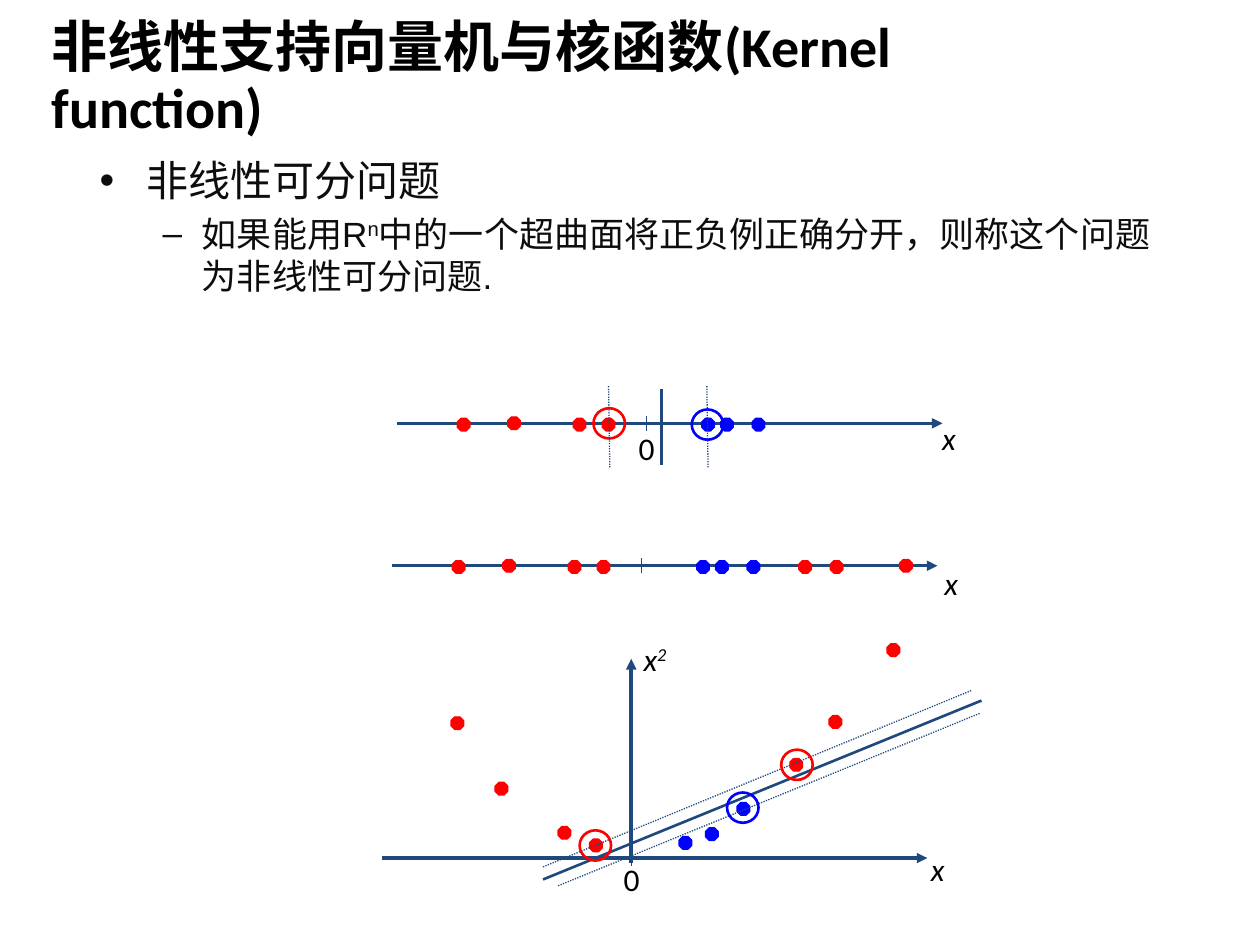
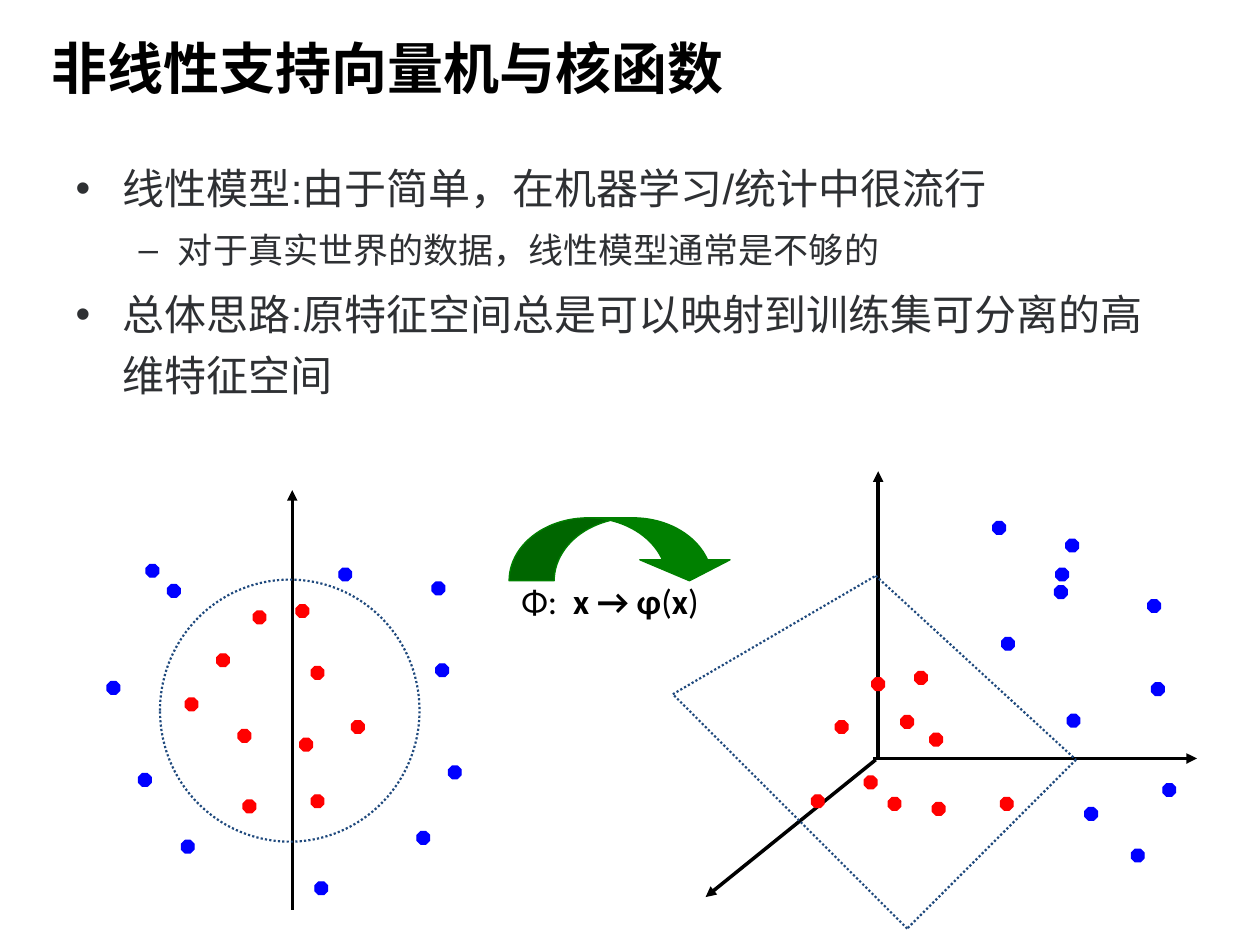
from lxml import etree
from pptx import Presentation
from pptx.dml.color import RGBColor
from pptx.enum.dml import MSO_LINE
from pptx.enum.shapes import MSO_CONNECTOR, MSO_SHAPE
from pptx.enum.text import MSO_ANCHOR, MSO_AUTO_SIZE, PP_ALIGN
from pptx.oxml.ns import qn
from pptx.util import Inches, Pt

STRAIGHT = MSO_CONNECTOR.STRAIGHT
OCTAGON, OVAL = MSO_SHAPE.OCTAGON, MSO_SHAPE.OVAL
CURVED_ARROW = MSO_SHAPE.CURVED_DOWN_ARROW
DOTTED = MSO_LINE.ROUND_DOT
LEFT, CENTER = PP_ALIGN.LEFT, PP_ALIGN.CENTER

BLACK = RGBColor(0x00, 0x00, 0x00)
NEAR_BLACK = RGBColor(0x0D, 0x0D, 0x0D)
CHARCOAL = RGBColor(0x2E, 0x30, 0x33)
NAVY = RGBColor(0x1F, 0x49, 0x7D)
RED = RGBColor(0xFF, 0x00, 0x00)
BLUE = RGBColor(0x00, 0x00, 0xFF)
GREEN = RGBColor(0x00, 0x80, 0x00)

DOT = 0.1
RING = (0.25, 0.24)
BODY_SIZES = (24, 20)

# Text: each paragraph is a level and its runs; each run is a text and its
# marks (b bold, i italic, ^ superscript)
TITLES = ("非线性支持向量机与核函数(Kernel function)", "非线性支持向量机与核函数")
SEPARABLE_POINTS = [
    (0, [("非线性可分问题", "")]),
    (1, [("如果能用R", ""), ("n", "^"),
         ("中的一个超曲面将正负例正确分开，则称这个问题为非线性可分问题.", "")]),
]
MAPPING_POINTS = [
    (0, [("线性模型:由于简单，在机器学习/统计中很流行", "")]),
    (1, [("对于真实世界的数据，线性模型通常是不够的", "")]),
    (0, [("总体思路:原特征空间总是可以映射到训练集可分离的高维特征空间", "")]),
]
X_LABEL = [("x", "i")]
X_SQUARED = [("x", "i"), ("2", "i^")]
ZERO = [("0", "")]
PHI_MAP = [("Φ:\t", ""), ("x → φ", "b"), ("(", ""), ("x", "b"), (")", "")]

# Number lines: dots as offsets from the left end of the axis
AXIS_LENGTH = 4.33
LINE_REDS = [(0.48, -0.04), (0.88, -0.05), (1.4, -0.04), (1.63, -0.04)]
LINE_BLUES = [(2.57, -0.04), (2.82, -0.04), (2.42, -0.04)]
FAR_REDS = [(3.23, -0.04), (3.48, -0.04), (4.03, -0.05)]

# Scatter plots: top left corner of each dot
PARABOLA_REDS = [(3.58, 5.69), (3.93, 6.21), (4.43, 6.56), (4.68, 6.66),
                 (6.27, 6.02), (6.58, 5.68), (7.04, 5.11)]
PARABOLA_BLUES = [(5.6, 6.57), (5.85, 6.37), (5.39, 6.64)]
PARABOLA_RINGS = [(6.2, 5.95, RED), (5.77, 6.29, BLUE), (4.6, 6.59, RED)]
INNER_REDS = [(2.35, 4.8), (1.72, 5.19), (1.89, 5.79), (2.47, 6.31),
              (2.01, 4.85), (1.47, 5.54), (1.93, 6.35), (2.47, 5.29),
              (2.79, 5.72), (2.38, 5.86)]
OUTER_BLUES = [(3.46, 5.27), (3.31, 6.6), (0.85, 5.41), (2.5, 7),
               (3.56, 6.08), (1.44, 6.67), (1.1, 6.14), (1.16, 4.48),
               (2.69, 4.51), (1.33, 4.64), (3.43, 4.62)]
MAPPED_REDS = [(7.26, 5.33), (6.63, 5.72), (7.05, 6.33), (7.94, 6.33),
               (6.92, 5.38), (7.15, 5.68), (7.4, 6.37), (7.38, 5.82),
               (6.86, 6.16), (6.44, 6.31)]
MAPPED_BLUES = [(9.14, 5.42), (8.98, 6.74), (8.46, 4.28), (8.47, 5.67),
                (9.23, 6.22), (7.95, 5.06), (8.61, 6.41), (8.38, 4.51),
                (8.37, 4.65), (7.88, 4.14), (9.11, 4.76)]
PLANE_CORNERS = [(6.95, 4.57), (8.54, 6.03), (7.2, 7.37), (5.34, 5.51)]
SPACE_AXES = [((6.97, 6.01), (6.97, 3.74)), ((6.93, 6.02), (9.5, 6.02)),
              ((6.95, 6.03), (5.6, 7.12))]


def write_runs(para, runs, size, font, color):
    for text, marks in runs:
        span = para.add_run()
        span.text = text
        span.font.size = Pt(size)
        span.font.name = font
        span.font.color.rgb = color
        span.font.bold = "b" in marks
        span.font.italic = "i" in marks
        properties = span._r.get_or_add_rPr()
        properties.set("lang", "zh-CN")
        if "^" in marks:
            properties.set("baseline", "30000")


def place(shape, left, top, width, height):
    shape.left, shape.top = Inches(left), Inches(top)
    shape.width, shape.height = Inches(width), Inches(height)


def start_page(deck, title, title_top, points, body_area, color, spacing):
    page = deck.slides.add_slide(deck.slide_layouts[1])
    heading, body = page.placeholders[0], page.placeholders[1]

    place(heading, 0, title_top, 8.62, 1.09)
    frame = heading.text_frame
    frame.auto_size = MSO_AUTO_SIZE.NONE
    frame.vertical_anchor = MSO_ANCHOR.MIDDLE
    frame.margin_left = frame.margin_right = Inches(0.07)
    frame.margin_top = frame.margin_bottom = Inches(0.04)
    para = frame.paragraphs[0]
    para.alignment = LEFT
    para.line_spacing = 0.9
    para._p.get_or_add_pPr().set("marL", str(Inches(0.34)))
    write_runs(para, [(title, "b")], 32, "Calibri", BLACK)

    place(body, *body_area)
    frame = body.text_frame
    frame.auto_size = MSO_AUTO_SIZE.NONE
    for index, (level, runs) in enumerate(points):
        para = frame.add_paragraph() if index else frame.paragraphs[0]
        size = BODY_SIZES[level]
        para.level = level
        para.line_spacing = spacing
        para.space_before = Pt(0.2 * size if index else 0)
        write_runs(para, runs, size, "Arial", color)
    return page


def add_line(page, start, end, color=NAVY, width=0.75, dotted=False, arrow=False):
    line = page.shapes.add_connector(
        STRAIGHT, *(Inches(value) for value in (*start, *end)))
    line.line.color.rgb = color
    line.line.width = Pt(width)
    if dotted:
        line.line.dash_style = DOTTED
    if arrow:
        outline = line.line._get_or_add_ln()
        etree.SubElement(outline, qn("a:tailEnd"), type="triangle")
    etree.SubElement(line._element.spPr, qn("a:effectLst"))


def add_figure(page, kind, area, color, width=0.75, filled=True):
    figure = page.shapes.add_shape(kind, *(Inches(value) for value in area))
    figure.shadow.inherit = False
    if filled:
        figure.fill.solid()
        figure.fill.fore_color.rgb = color
    else:
        figure.fill.background()
    figure.line.color.rgb = color
    figure.line.width = Pt(width)
    return figure


def add_dots(page, corners, color, origin=(0, 0)):
    for x, y in corners:
        area = (origin[0] + x, origin[1] + y, DOT, DOT)
        add_figure(page, OCTAGON, area, color)


def add_ring(page, left, top, color):
    add_figure(page, OVAL, (left, top, *RING), color, 1.5, filled=False)


def add_label(page, runs, left, top, width=0.5, height=0.4, size=18,
              alignment=LEFT, tab=None):
    box = page.shapes.add_textbox(*(Inches(value) for value in (left, top, width, height)))
    box.text_frame.word_wrap = True
    para = box.text_frame.paragraphs[0]
    para.alignment = alignment
    if tab:
        stops = etree.SubElement(para._p.get_or_add_pPr(), qn("a:tabLst"))
        etree.SubElement(stops, qn("a:tab"), pos=str(Inches(tab)), algn="l")
    write_runs(para, runs, size, "Calibri", BLACK)


def add_axis(page, left, y, tick_offset=1.98):
    add_line(page, (left, y), (left + AXIS_LENGTH, y), width=2, arrow=True)
    tick = left + tick_offset
    add_line(page, (tick, y - 0.06), (tick, y + 0.06))


def add_number_line(page, left, y, extra_reds=()):
    add_axis(page, left, y)
    add_dots(page, [*LINE_REDS, *extra_reds], RED, (left, y))
    add_dots(page, LINE_BLUES, BLUE, (left, y))


def build_separable_page(deck):
    page = start_page(deck, TITLES[0], 0.09, SEPARABLE_POINTS,
                      (0.69, 1.18, 8.62, 3.57), NEAR_BLACK, 1.0)

    # Linearly separable data with its margin
    add_number_line(page, 3.15, 3.36)
    add_label(page, ZERO, 4.97, 3.36, width=0.38)
    add_line(page, (5.25, 3.09), (5.25, 3.69), width=1.5)
    add_ring(page, 5.49, 3.25, BLUE)
    add_ring(page, 4.71, 3.24, RED)
    for x in (5.62, 4.84):
        add_line(page, (x, 3.71), (x - 0.01, 3.06), dotted=True)
    add_label(page, X_LABEL, 7.38, 3.28)

    # Data that no single point separates
    add_number_line(page, 3.11, 4.49, FAR_REDS)
    add_label(page, X_LABEL, 7.3, 4.43, alignment=CENTER)

    # The same data lifted onto x and x squared
    add_axis(page, 3.03, 6.81)
    add_label(page, ZERO, 4.85, 6.78, width=0.38)
    add_dots(page, PARABOLA_REDS, RED)
    add_dots(page, PARABOLA_BLUES, BLUE)
    add_line(page, (5.01, 6.85), (5.01, 5.23), width=2, arrow=True)
    add_label(page, X_SQUARED, 5.01, 5.03)
    add_label(page, X_LABEL, 7.29, 6.7)
    add_line(page, (4.31, 6.98), (7.79, 5.56), width=1.5)
    add_line(page, (4.31, 6.88), (7.71, 5.48), dotted=True)
    add_line(page, (4.43, 7.03), (7.78, 5.66), dotted=True)
    for ring in PARABOLA_RINGS:
        add_ring(page, *ring)


def build_mapping_page(deck):
    page = start_page(deck, TITLES[1], 0.02, MAPPING_POINTS,
                      (0.5, 1.16, 9, 4.95), CHARCOAL, 1.2)

    # Input space with a circular boundary
    add_line(page, (2.32, 7.22), (2.32, 3.89), BLACK, 2, arrow=True)
    add_dots(page, INNER_REDS, RED)
    add_dots(page, OUTER_BLUES, BLUE)
    circle = add_figure(page, OVAL, (1.27, 4.6, 2.06, 2.08), NAVY, 1.25, filled=False)
    circle.line.dash_style = DOTTED

    # Mapping arrow
    arrow = add_figure(page, CURVED_ARROW, (4.04, 4.11, 1.79, 0.5), GREEN)
    for index, value in enumerate((0.717, 1.433, 0.333)):
        arrow.adjustments[index] = value
    add_label(page, PHI_MAP, 4.04, 4.55, 1.84, 0.43, size=20, tab=0.41)

    # Feature space with a separating plane
    for start, end in SPACE_AXES:
        add_line(page, start, end, BLACK, 2, arrow=True)
    add_dots(page, MAPPED_REDS, RED)
    add_dots(page, MAPPED_BLUES, BLUE)
    for start, end in zip(PLANE_CORNERS, PLANE_CORNERS[1:] + PLANE_CORNERS[:1]):
        add_line(page, start, end, width=1.25, dotted=True)


def main():
    deck = Presentation()
    deck.slide_width, deck.slide_height = Inches(10), Inches(7.5)
    build_separable_page(deck)
    build_mapping_page(deck)
    deck.save("out.pptx")


if __name__ == "__main__":
    main()
